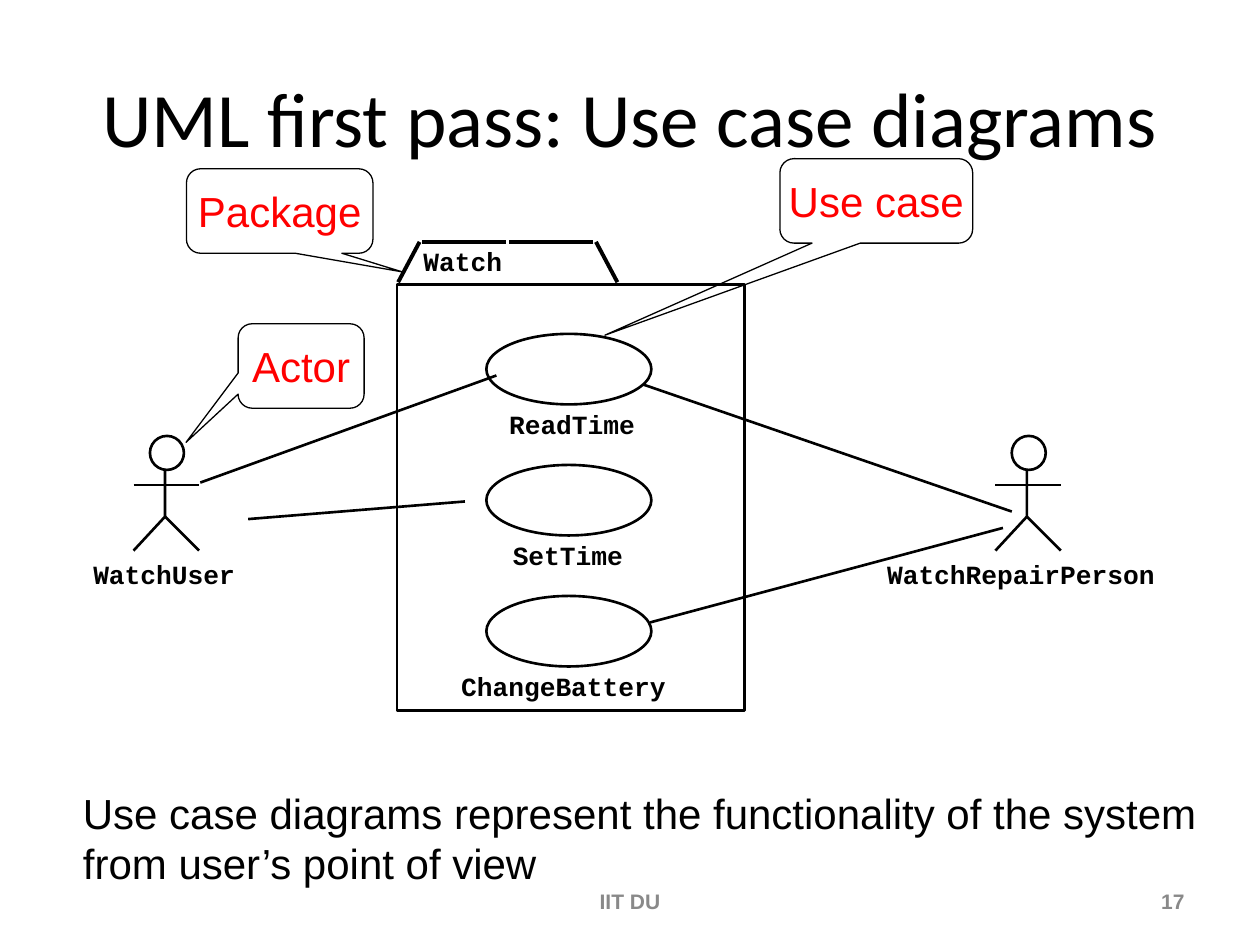
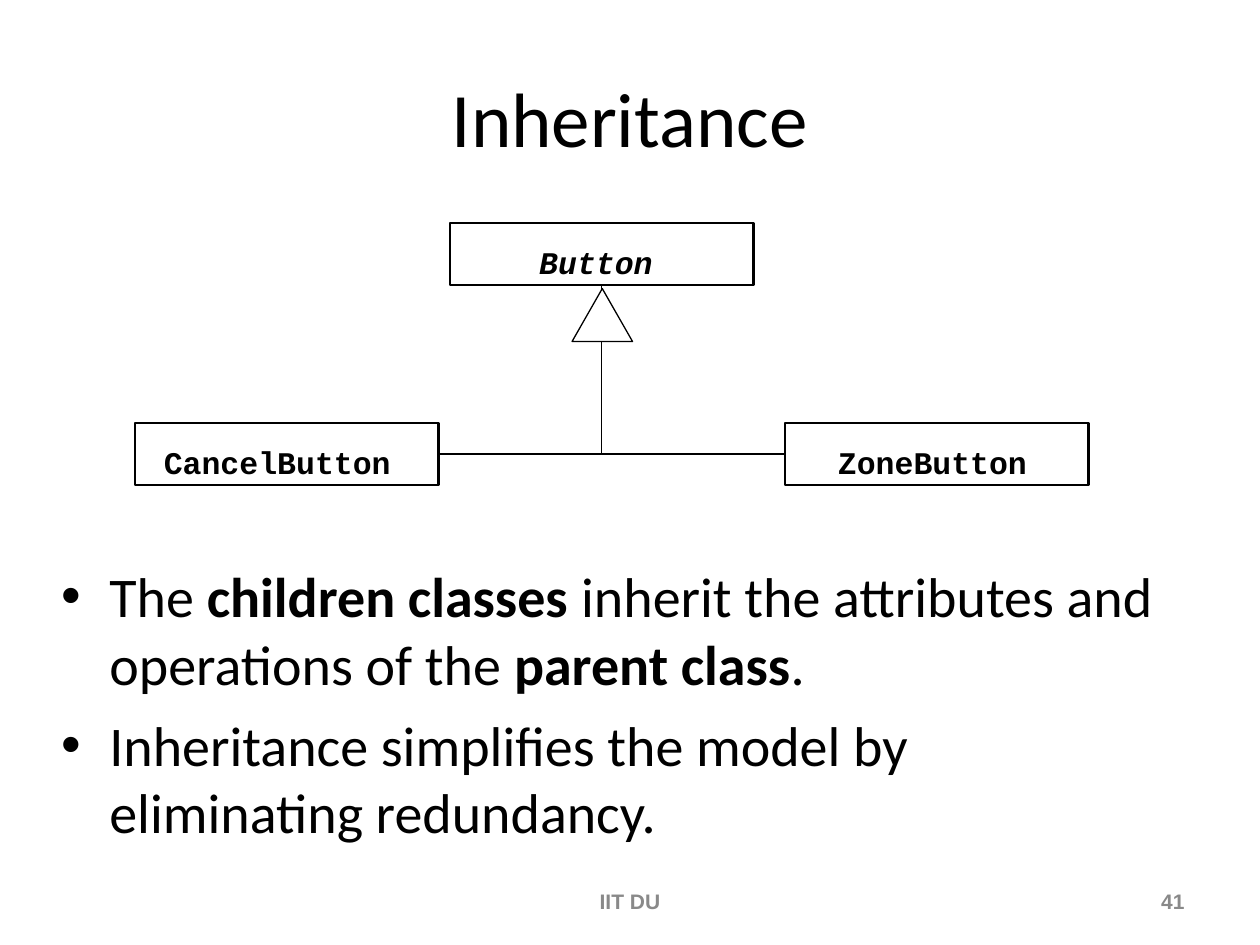
"""Two UML slides: a use case diagram and an inheritance diagram."""
from lxml import etree
from pptx import Presentation
from pptx import util as u
from pptx.dml.color import RGBColor
from pptx.enum import shapes, text
from pptx.oxml import ns

Inches, Pt = u.Inches, u.Pt
SHAPE, LINK = shapes.MSO_SHAPE, shapes.MSO_CONNECTOR
LEFT, CENTER, RIGHT = text.PP_ALIGN.LEFT, text.PP_ALIGN.CENTER, text.PP_ALIGN.RIGHT
TOP, MIDDLE = text.MSO_ANCHOR.TOP, text.MSO_ANCHOR.MIDDLE
BLACK = RGBColor(0, 0, 0)
WHITE = RGBColor(255, 255, 255)
RED = RGBColor(255, 0, 0)
GRAY = RGBColor(0x89, 0x89, 0x89)
TITLE_FONT, BODY_FONT, CODE_FONT = "Calibri", "Arial", "Courier New"


def outline(sp, width, fill=None):
    """Draw a black outline without shadow, with a solid fill or none."""
    sp.line.color.rgb = BLACK
    sp.line.width = Pt(width)
    if hasattr(sp, "fill"):
        sp.shadow.inherit = False
        if fill is None:
            sp.fill.background()
        else:
            sp.fill.solid()
            sp.fill.fore_color.rgb = fill
    else:
        etree.SubElement(sp._element.spPr, ns.qn("a:effectLst"))
    return sp


def write(sp, words, size, font, color=BLACK, align=LEFT, anchor=TOP,
          bold=False, wrap=False, inset=True):
    """Fill a shape or text box with uniformly formatted text."""
    tf = sp.text_frame
    tf.text = words
    tf.word_wrap = wrap
    tf.vertical_anchor = anchor
    tf.margin_left = tf.margin_right = Inches(0.1 if inset else 0)
    tf.margin_top = tf.margin_bottom = Inches(0.05 if inset else 0)
    for p in tf.paragraphs:
        p.alignment = align
        for r in p.runs:
            r.font.size, r.font.name, r.font.bold = Pt(size), font, bold
            r.font.color.rgb = color
    return tf


prs = Presentation()
prs.slide_width, prs.slide_height = Inches(10), Inches(7.5)
blank = prs.slide_layouts[6]

for title, number in (("UML first pass: Use case diagrams", "17"), ("Inheritance", "41")):
    s = prs.slides.add_slide(blank)
    for words, box, size, font, color, align, bold in (
        (title, (0.5, 0.3, 9, 1.25), 44, TITLE_FONT, BLACK, CENTER, False),
        (number, (7.17, 6.95, 2.33, 0.4), 12, BODY_FONT, GRAY, RIGHT, True),
        ("IIT DU", (3.42, 6.95, 3.16, 0.4), 12, BODY_FONT, GRAY, CENTER, True),
    ):
        sp = s.shapes.add_textbox(*map(Inches, box))
        write(sp, words, size, font, color, align, MIDDLE, bold, wrap=True)
use_case_slide, inheritance_slide = prs.slides

s = use_case_slide
lines = []
labels = []
for actor, x, label_x in (("WatchUser", 1.06, 0.74), ("WatchRepairPerson", 7.9, 7.04)):
    fb = s.shapes.build_freeform(Inches(x + 0.25), Inches(3.65))
    fb.add_line_segments([(Inches(x + 0.25), Inches(4.1)), (Inches(x), Inches(4.37))], close=False)
    outline(fb.convert_to_shape(), 1.5)
    head = s.shapes.add_shape(SHAPE.OVAL, *map(Inches, (x + 0.13, 3.46, 0.27, 0.27)))
    outline(head, 1.5, WHITE)
    lines += [(x + 0.25, 4.1, x + 0.52, 4.37, 1.5), (x, 3.85, x + 0.52, 3.85, 1.5)]
    labels.append((actor, label_x, 4.43))

for i, (case, label_x) in enumerate((("ReadTime", 4.04), ("SetTime", 4.07), ("ChangeBattery", 3.66))):
    y = 2.65 + 1.04 * i
    outline(s.shapes.add_shape(SHAPE.OVAL, *map(Inches, (3.86, y, 1.31, 0.56))), 1.5)
    labels.append((case, label_x, y + 0.59))

labels.append(("Watch", 3.36, 1.95))
for words, x, y in labels:
    sp = s.shapes.add_textbox(*map(Inches, (x, y, 0.125 * len(words), 0.25)))
    write(sp, words, 15, CODE_FONT, bold=True, inset=False)

lines += [
    (1.59, 3.83, 3.94, 2.98, 1.5),
    (1.97, 4.12, 3.69, 3.98, 1.5),
    (5.16, 4.94, 7.96, 4.19, 1.5),
    (5.1, 3.05, 8.03, 4.06, 1.5),
    (3.16, 2.24, 3.33, 1.92, 2.25),
    (3.35, 1.92, 4.02, 1.92, 2.25),
    (4.9, 2.24, 4.73, 1.92, 2.25),
    (4.71, 1.92, 4.04, 1.92, 2.25),
]
for *ends, width in lines:
    outline(s.shapes.add_connector(LINK.STRAIGHT, *map(Inches, ends)), width)

for words, box, tip in (
    ("Actor", (1.89, 2.57, 1, 0.67), (-0.913, 0.904)),
    ("Use case", (6.19, 1.26, 1.53, 0.67), (-1.408, 1.591)),
    ("Package", (1.48, 1.34, 1.48, 0.67), (0.658, 0.721)),
):
    sp = s.shapes.add_shape(SHAPE.ROUNDED_RECTANGULAR_CALLOUT, *map(Inches, box))
    sp.adjustments[0], sp.adjustments[1] = tip
    outline(sp, 0.75, WHITE)
    write(sp, words, 24, BODY_FONT, RED, CENTER, MIDDLE)

outline(s.shapes.add_shape(SHAPE.RECTANGLE, *map(Inches, (3.15, 2.26, 2.76, 3.38))), 1.5)
sp = s.shapes.add_textbox(*map(Inches, (0.56, 6.2, 9.3, 0.9)))
write(sp, "Use case diagrams represent the functionality of the system\n"
          "from user’s point of view", 24, BODY_FONT, wrap=True)

s = inheritance_slide
classes = {}
for name, x, y, label_x in (
    ("Button", 3.57, 1.77, 4.28),
    ("CancelButton", 1.07, 3.36, 1.3),
    ("ZoneButton", 6.23, 3.36, 6.65),
):
    sp = s.shapes.add_shape(SHAPE.RECTANGLE, *map(Inches, (x, y, 2.41, 0.49)))
    classes[name] = outline(sp, 1.25)
    sp = s.shapes.add_textbox(*map(Inches, (label_x, y + 0.16, 0.15 * len(name), 0.3)))
    tf = write(sp, name, 18, CODE_FONT, align=CENTER, bold=True, inset=False)
    tf.paragraphs[0].runs[0].font.italic = name == "Button"

for child, side, x in (("CancelButton", 3, 3.48), ("ZoneButton", 1, 6.23)):
    link = s.shapes.add_connector(LINK.ELBOW, *map(Inches, (x, 3.6, 4.78, 2.26)))
    link.begin_connect(classes[child], side)
    link.end_connect(classes["Button"], 2)
    link._element.spPr.find(ns.qn("a:prstGeom")).set("prst", "bentConnector2")
    outline(link, 0.75)
triangle = s.shapes.add_shape(SHAPE.ISOSCELES_TRIANGLE, *map(Inches, (4.54, 2.29, 0.48, 0.42)))
outline(triangle, 0.75, WHITE)

tf = s.shapes.add_textbox(*map(Inches, (0.39, 4.41, 9.03, 2.39))).text_frame
tf.word_wrap = True
bullets = (
    (("The ", False), ("children classes", True),
     (" inherit the attributes and operations of the ", False),
     ("parent class", True), (".", False)),
    (("Inheritance simplifies the model by eliminating redundancy.", False),),
)
for i, runs in enumerate(bullets):
    p = tf.add_paragraph() if i else tf.paragraphs[0]
    if i:
        p.space_before = Pt(8)
    pPr = p._p.get_or_add_pPr()
    pPr.set("marL", str(Inches(0.38)))
    pPr.set("indent", str(-Inches(0.38)))
    etree.SubElement(pPr, ns.qn("a:buFont")).set("typeface", BODY_FONT)
    etree.SubElement(pPr, ns.qn("a:buChar")).set("char", "•")
    for words, bold in runs:
        r = p.add_run()
        r.text = words
        r.font.size, r.font.name, r.font.bold = Pt(32), TITLE_FONT, bold
        r.font.color.rgb = BLACK

prs.save("out.pptx")
